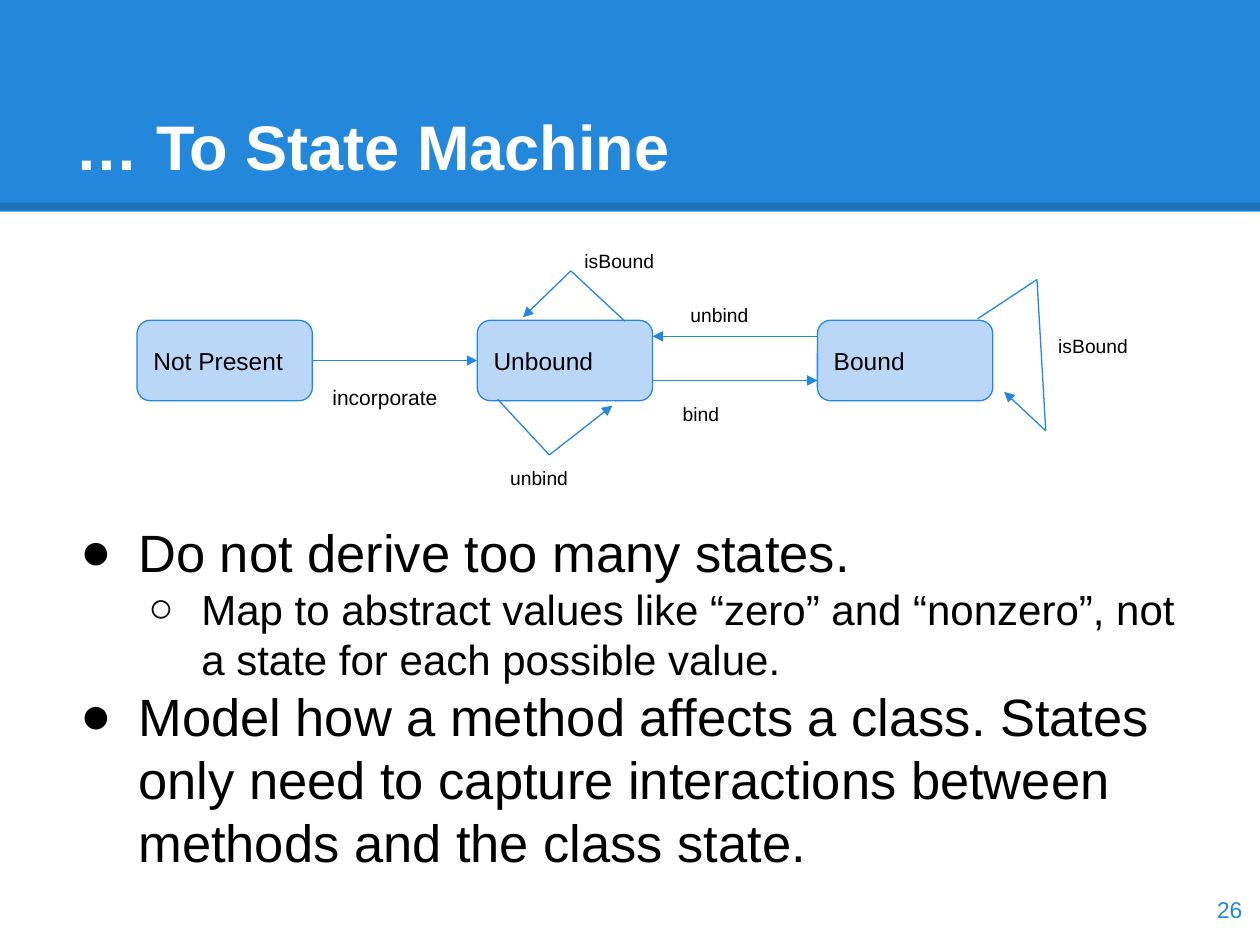
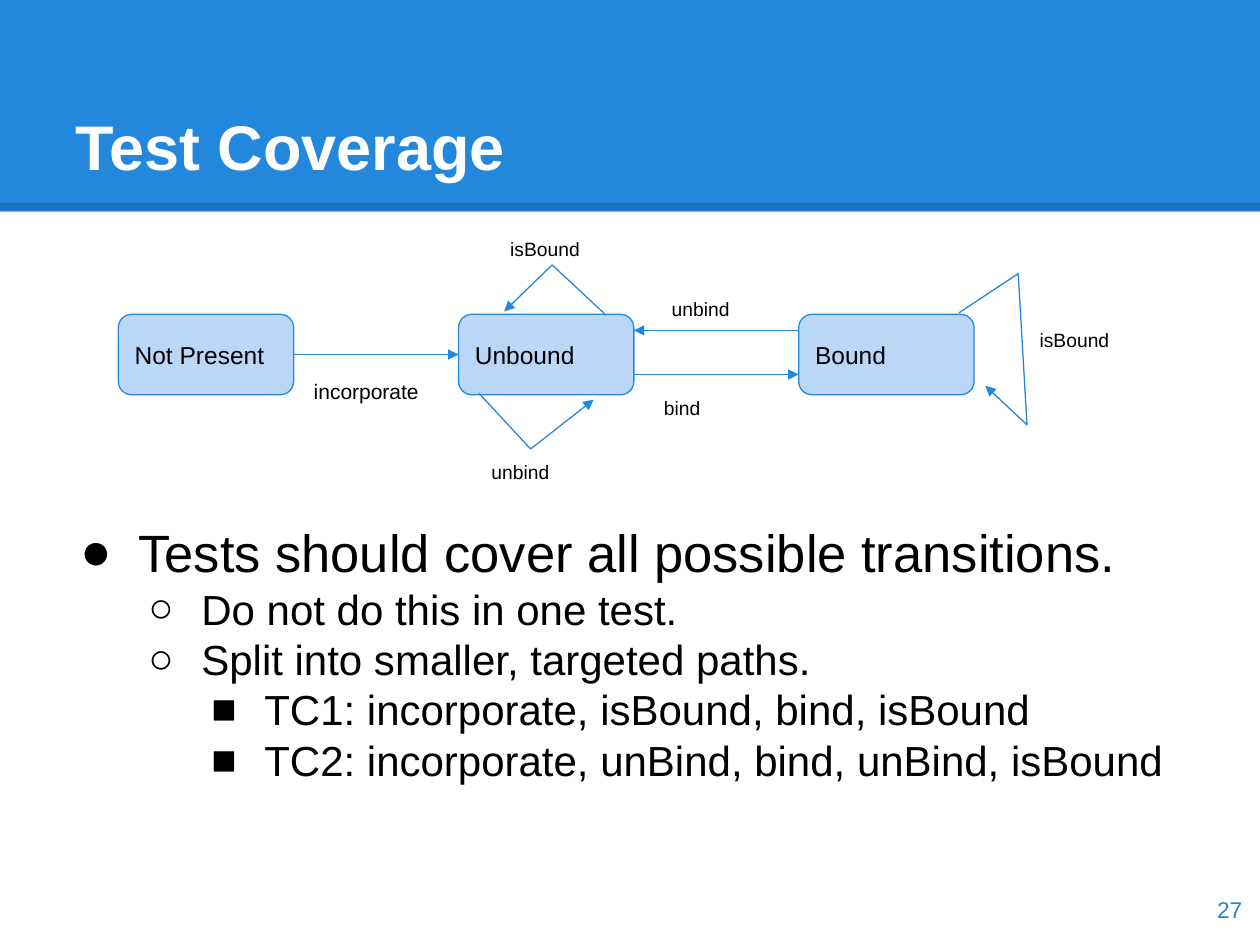
"""Builds two slides on deriving tests from a state machine."""
from dataclasses import dataclass

from lxml import etree
from pptx import Presentation
from pptx.dml.color import RGBColor
from pptx.enum.shapes import MSO_CONNECTOR, MSO_SHAPE
from pptx.enum.text import MSO_ANCHOR, MSO_AUTO_SIZE, PP_ALIGN
from pptx.oxml.ns import qn
from pptx.util import Pt

STRAIGHT = MSO_CONNECTOR.STRAIGHT
RECT, ROUNDED = MSO_SHAPE.RECTANGLE, MSO_SHAPE.ROUNDED_RECTANGLE
TOP, MIDDLE, BOTTOM = MSO_ANCHOR.TOP, MSO_ANCHOR.MIDDLE, MSO_ANCHOR.BOTTOM
LEFT, RIGHT = PP_ALIGN.LEFT, PP_ALIGN.RIGHT
NO_FIT = MSO_AUTO_SIZE.NONE
SIDE_LEFT, SIDE_RIGHT = 1, 3


@dataclass(frozen=True)
class Theme:
    """Colours, type sizes and measures in points."""
    font: str = "Arial"
    blue: str = "2388DB"
    pale: str = "BBD7F8"
    black: str = "000000"
    white: str = "FFFFFF"
    title: float = 36
    state: float = 14
    event: float = 12
    small: float = 11
    number: float = 13
    inset: float = 7.2
    line: float = 0.75
    rule: float = 4.5
    leading: float = 1.2
    body: tuple = (30, 24, 24)
    bullets: tuple = ("●", "○", "■")
    hang: tuple = (33, 30.24, 30.24)
    indent: float = 36


STATE_W, STATE_H, STATE_STEP = 100.2, 46, 194.4
STATES = ["Not Present", "Unbound", "Bound"]
LOOPS = [
    [(206.1, 45.2), (235.6, 77), (271.6, 48.8)],
    [(278.8, 0.6), (247.9, -28.2), (220.5, -1.6)],
    [(480.4, -0.8), (514.3, -23.2), (519.3, 63.2), (495.5, 40.9)],
]
EVENTS = [
    ("bind", 304.7, 39.5),
    ("unbind", 309.1, -16.7),
    ("unbind", 206.1, 76.2),
    ("isBound", 519.3, 0.6),
]

SLIDES = [
    {
        "title": "… To State Machine",
        "number": 26,
        "origin": (78.3, 183),
        "loop_label": (248.6, -47.6),
        "body": [
            (0, "Do not derive too many states."),
            (1, "Map to abstract values like “zero” and “nonzero”, not a state "
                "for each possible value."),
            (0, "Model how a method affects a class. States only need to capture "
                "interactions between methods and the class state."),
        ],
    },
    {
        "title": "Test Coverage",
        "number": 27,
        "origin": (67.6, 179.6),
        "loop_label": (216.8, -51.4),
        "body": [
            (0, "Tests should cover all possible transitions."),
            (1, "Do not do this in one test."),
            (1, "Split into smaller, targeted paths."),
            (2, "TC1: incorporate, isBound, bind, isBound"),
            (2, "TC2: incorporate, unBind, bind, unBind, isBound"),
        ],
    },
]


class Deck:
    """Holds the style and the current slide."""

    def __init__(self, theme):
        """Start an empty presentation."""
        self.t = theme
        self.prs = Presentation()
        self.prs.slide_width, self.prs.slide_height = Pt(720), Pt(540)
        self.s = None

    def new_slide(self, title, number):
        """Add a slide with its band, title and number."""
        t = self.t
        self.s = self.prs.slides.add_slide(self.prs.slide_layouts[5])
        self.shape(RECT, (0, 0, 720, 121), t.blue)
        rule = self.line((0, 118), (720, 118), t.black, t.rule, arrow=False)
        srgb = rule.element.spPr.find(".//" + qn("a:srgbClr"))
        etree.SubElement(srgb, qn("a:alpha"), val="15000")

        sp = self.s.shapes.title
        self.s.shapes.element.append(sp.element)
        sp.left, sp.top, sp.width, sp.height = map(Pt, (36, 21.6, 648, 90))
        self.frame(sp, BOTTOM)
        self.run(sp.text_frame.paragraphs[0], title, t.title, t.white, bold=True)
        self.text(str(number), (674, 499, 43, 41), t.number, t.blue, MIDDLE, RIGHT)

    def frame(self, sp, anchor):
        """Format the text frame of a shape."""
        inset = Pt(self.t.inset)
        style = {
            "auto_size": NO_FIT, "word_wrap": True, "vertical_anchor": anchor,
            "margin_left": inset, "margin_right": inset,
            "margin_top": inset, "margin_bottom": inset,
        }
        for name, value in style.items():
            setattr(sp.text_frame, name, value)

    def run(self, p, text, size, color, align=LEFT, bold=False):
        """Add one formatted run to a paragraph."""
        p.alignment = align
        r = p.add_run()
        r.text = text
        style = {"name": self.t.font, "size": Pt(size), "bold": bold}
        for name, value in style.items():
            setattr(r.font, name, value)
        r.font.color.rgb = RGBColor.from_string(color)

    def text(self, text, box, size, color, anchor=TOP, align=LEFT):
        """Add a one-line text box."""
        sp = self.s.shapes.add_textbox(*map(Pt, box))
        self.frame(sp, anchor)
        self.run(sp.text_frame.paragraphs[0], text, size, color, align)

    def shape(self, kind, box, fill):
        """Add a filled shape without outline."""
        sp = self.s.shapes.add_shape(kind, *map(Pt, box))
        sp.shadow.inherit = False
        sp.fill.solid()
        sp.fill.fore_color.rgb = RGBColor.from_string(fill)
        sp.line.fill.background()
        return sp

    def stroke(self, sp, color, width, arrow):
        """Set a line colour and width, with an optional arrowhead."""
        sp.line.color.rgb = RGBColor.from_string(color)
        sp.line.width = Pt(width)
        if arrow:
            ln = sp.element.spPr.find(qn("a:ln"))
            etree.SubElement(ln, qn("a:tailEnd"), type="triangle")

    def line(self, start, end, color, width, arrow=True):
        """Add a straight connector."""
        sp = self.s.shapes.add_connector(STRAIGHT, *map(Pt, (*start, *end)))
        self.stroke(sp, color, width, arrow)
        etree.SubElement(sp.element.spPr, qn("a:effectLst"))
        return sp

    def loop(self, points):
        """Add an open bent arrow through the points."""
        pts = [(Pt(x), Pt(y)) for x, y in points]
        builder = self.s.shapes.build_freeform(*pts[0])
        builder.add_line_segments(pts[1:], close=False)
        sp = builder.convert_to_shape()
        sp.shadow.inherit = False
        sp.fill.background()
        self.stroke(sp, self.t.blue, self.t.line, True)

    def state(self, name, x, y):
        """Add a rounded state box."""
        t = self.t
        sp = self.shape(ROUNDED, (x, y, STATE_W, STATE_H), t.pale)
        self.stroke(sp, t.blue, t.line, False)
        self.frame(sp, MIDDLE)
        self.run(sp.text_frame.paragraphs[0], name, t.state, t.black)
        return sp

    def machine(self, origin, loop_label):
        """Draw the state machine from its top left corner."""
        t = self.t
        ox, oy = origin
        states = [self.state(name, ox + i * STATE_STEP, oy)
                  for i, name in enumerate(STATES)]
        mid = oy + STATE_H / 2
        sp = self.line((ox + STATE_W, mid), (ox + STATE_STEP, mid), t.blue, t.line)
        sp.begin_connect(states[0], SIDE_RIGHT)
        sp.end_connect(states[1], SIDE_LEFT)
        unbound, bound = ox + STATE_STEP + STATE_W, ox + 2 * STATE_STEP
        for start, end, dy in [(unbound, bound, 34.4), (bound, unbound, 9.2)]:
            self.line((start, oy + dy), (end, oy + dy), t.blue, t.line)
        for points in LOOPS:
            self.loop([(ox + x, oy + y) for x, y in points])
        self.text("incorporate", (ox + 104.6, oy + 29.4, 76.3, 16.6),
                  t.event, t.black)
        for name, x, y in [*EVENTS, ("isBound", *loop_label)]:
            self.text(name, (ox + x, oy + y, 65.5, 16.6), t.small, t.black)

    def bullets(self, items):
        """Add the bulleted body text."""
        t = self.t
        sp = self.s.shapes.add_textbox(*map(Pt, (36, 290, 648, 198)))
        self.frame(sp, TOP)
        tf = sp.text_frame
        for i, (level, text) in enumerate(items):
            p = tf.add_paragraph() if i else tf.paragraphs[0]
            size = t.body[level]
            p.level = level
            p.line_spacing = Pt(size * t.leading)
            pPr = p._p.get_or_add_pPr()
            pPr.set("marL", str(Pt(t.indent * (level + 1))))
            pPr.set("indent", str(-Pt(t.hang[level])))
            etree.SubElement(pPr, qn("a:buFont"), typeface=t.font)
            etree.SubElement(pPr, qn("a:buChar"), char=t.bullets[level])
            self.run(p, text, size, t.black)


def main():
    """Build and save the slides."""
    deck = Deck(Theme())
    for item in SLIDES:
        deck.new_slide(item["title"], item["number"])
        deck.bullets(item["body"])
        deck.machine(item["origin"], item["loop_label"])
    deck.prs.save("out.pptx")


if __name__ == "__main__":
    main()
